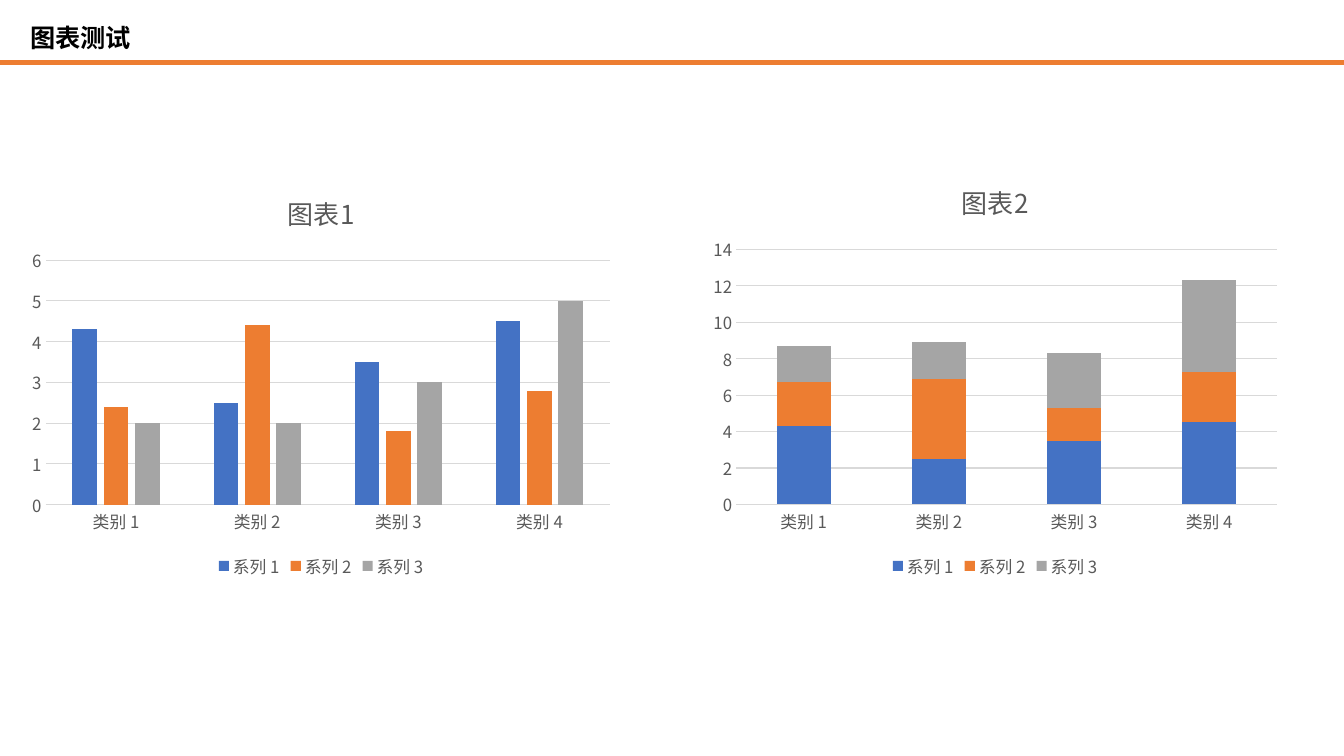
from lxml import etree
from pptx import Presentation
from pptx.chart.data import CategoryChartData
from pptx.dml.color import RGBColor
from pptx.enum.chart import XL_CHART_TYPE, XL_LEGEND_POSITION, XL_TICK_MARK
from pptx.enum.shapes import MSO_CONNECTOR
from pptx.enum.text import MSO_ANCHOR, MSO_AUTO_SIZE, PP_ALIGN
from pptx.oxml.ns import qn
from pptx.util import Inches, Pt

CLUSTERED = XL_CHART_TYPE.COLUMN_CLUSTERED
STACKED = XL_CHART_TYPE.COLUMN_STACKED
LEGEND_BOTTOM = XL_LEGEND_POSITION.BOTTOM
NO_TICKS = XL_TICK_MARK.NONE
STRAIGHT = MSO_CONNECTOR.STRAIGHT
MIDDLE = MSO_ANCHOR.MIDDLE
FIT_SHAPE = MSO_AUTO_SIZE.SHAPE_TO_FIT_TEXT
LEFT = PP_ALIGN.LEFT

FONT = "Noto Sans CJK SC"
COLORS = {
    "title": "000000",
    "label": "595959",
    "grid": "D9D9D9",
    "blue": "4472C4",
    "orange": "ED7D31",
    "gray": "A5A5A5",
}
SLIDE_WIDTH, SLIDE_HEIGHT = 13.33, 7.5

CATEGORIES = [f"类别 {number}" for number in range(1, 5)]
SERIES = [
    ("系列 1", (4.3, 2.5, 3.5, 4.5), "blue"),
    ("系列 2", (2.4, 4.4, 1.8, 2.8), "orange"),
    ("系列 3", (2, 2, 3, 5), "gray"),
]


class SlideBuilder:
    def __init__(self, slide):
        self.slide = slide

    def color(self, name):
        return RGBColor.from_string(COLORS[name])

    def style_font(self, font, size, color, bold=False):
        font.size = Pt(size)
        font.bold = bold
        font.color.rgb = self.color(color)
        font.name = FONT
        # East Asian typeface follows the Latin one
        latin = font._element.find(qn("a:latin"))
        east_asian = etree.Element(qn("a:ea"), typeface=FONT)
        latin.addnext(east_asian)

    def style_line(self, line, color, width):
        line.color.rgb = self.color(color)
        line.width = Pt(width)

    def title(self, text, left, top, width, height):
        shape = self.slide.shapes.title
        shape.left, shape.top = Inches(left), Inches(top)
        shape.width, shape.height = Inches(width), Inches(height)
        text_frame = shape.text_frame
        text_frame.text = text
        text_frame.word_wrap = False
        text_frame.auto_size = FIT_SHAPE
        text_frame.vertical_anchor = MIDDLE
        paragraph = text_frame.paragraphs[0]
        paragraph.alignment = LEFT
        self.style_font(paragraph.runs[0].font, 18, "title", bold=True)

    def rule(self, top, color, width):
        connector = self.slide.shapes.add_connector(
            STRAIGHT, 0, Inches(top), Inches(SLIDE_WIDTH), Inches(top))
        self.style_line(connector.line, color, width)
        etree.SubElement(connector._element.spPr, qn("a:effectLst"))

    def column_chart(self, title, chart_type, left, top, width, height, gap, overlap):
        data = CategoryChartData()
        data.categories = CATEGORIES
        for name, values, _ in SERIES:
            data.add_series(name, values)
        chart = self.slide.shapes.add_chart(
            chart_type, Inches(left), Inches(top), Inches(width), Inches(height), data).chart
        self.style_font(chart.font, 10, "title")

        # Title and legend
        chart.has_title = True
        title_frame = chart.chart_title.text_frame
        title_frame.text = title
        self.style_font(title_frame.paragraphs[0].runs[0].font, 18.6, "label")
        chart.chart_title.include_in_layout = False
        chart.has_legend = True
        chart.legend.position = LEGEND_BOTTOM
        chart.legend.include_in_layout = False
        self.style_font(chart.legend.font, 12, "label")

        # Axes
        for axis in (chart.category_axis, chart.value_axis):
            axis.major_tick_mark = axis.minor_tick_mark = NO_TICKS
            self.style_font(axis.tick_labels.font, 12, "label")
        self.style_line(chart.category_axis.format.line, "grid", 0.75)
        chart.value_axis.format.line.fill.background()
        self.style_line(chart.value_axis.major_gridlines.format.line, "grid", 0.75)

        # Columns
        plot = chart.plots[0]
        plot.vary_by_categories = False
        plot.gap_width, plot.overlap = gap, overlap
        for series, (_, _, color) in zip(plot.series, SERIES):
            series.format.fill.solid()
            series.format.fill.fore_color.rgb = self.color(color)
            series.invert_if_negative = False


def main():
    presentation = Presentation()
    presentation.slide_width = Inches(SLIDE_WIDTH)
    presentation.slide_height = Inches(SLIDE_HEIGHT)
    title_only = presentation.slide_layouts[5]
    builder = SlideBuilder(presentation.slides.add_slide(title_only))

    # Header
    builder.title("图表测试", 0.2, 0.17, 1.21, 0.4)
    builder.rule(0.62, "orange", 3)

    # Charts of the same data
    builder.column_chart("图表1", CLUSTERED, 0.2, 1.71, 5.97, 4.07, gap=219, overlap=-27)
    builder.column_chart("图表2", STACKED, 6.96, 1.6, 5.82, 4.18, gap=150, overlap=100)

    presentation.save("out.pptx")


if __name__ == "__main__":
    main()
